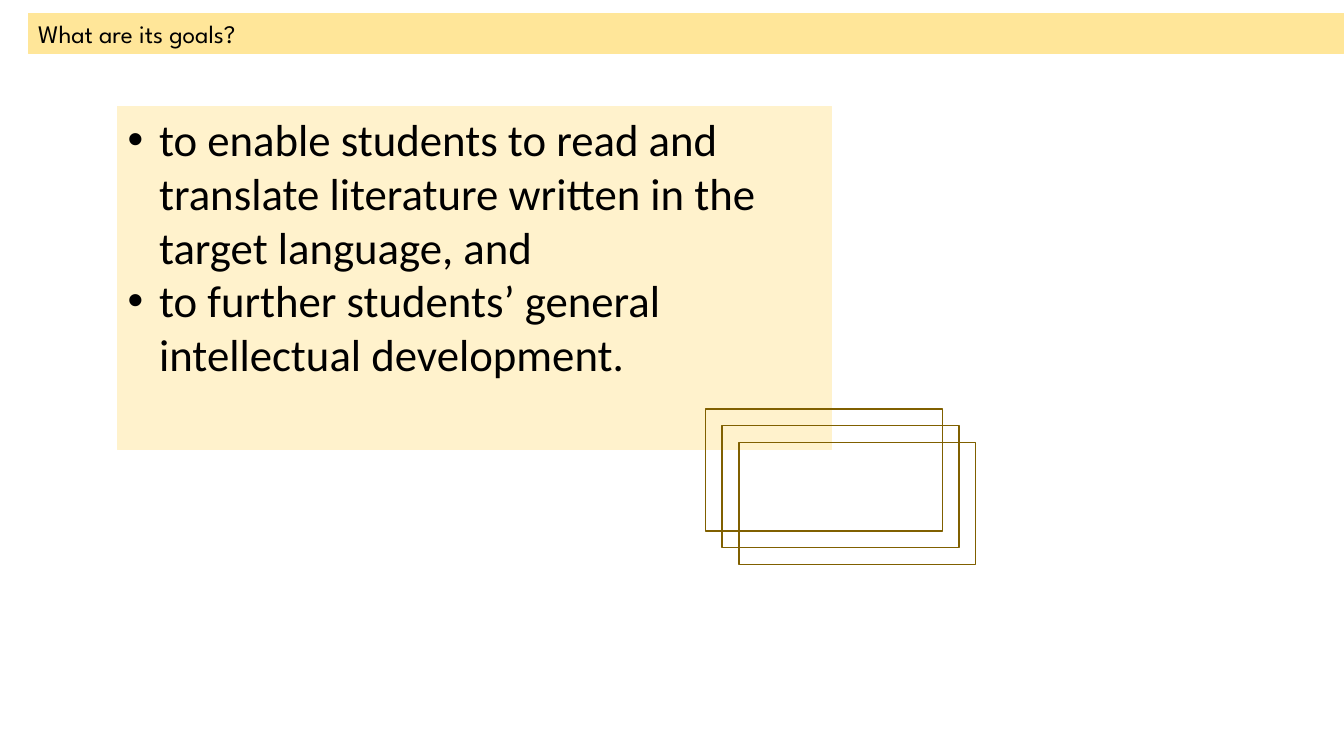
from dataclasses import dataclass

from lxml.etree import SubElement
from pptx import Presentation
from pptx.dml.color import RGBColor
from pptx.enum.shapes import MSO_SHAPE
from pptx.enum.text import MSO_ANCHOR, PP_ALIGN
from pptx.oxml.ns import qn
from pptx.shapes.autoshape import Shape
from pptx.slide import Slide
from pptx.util import Cm, Pt

GOLD = RGBColor(0xFF, 0xE6, 0x99)
CREAM = RGBColor(0xFF, 0xF2, 0xCC)
BROWN = RGBColor(0x80, 0x60, 0x00)
BLACK = RGBColor(0x00, 0x00, 0x00)

FRAME_COUNT = 3
FRAME_STEP = 0.42
BULLET_INDENT = Cm(0.79)

QUESTION = "What are its goals?"
GOALS = [
    "to enable students to read and translate literature written in the target language, and",
    "to further students’ general intellectual development.",
]


@dataclass
class Box:
    """A rectangle with its lengths in centimetres."""
    left: float
    top: float
    width: float
    height: float
    line: RGBColor
    fill: RGBColor | None = None
    line_width: float = 0.75


def draw_box(slide: Slide, box: Box) -> Shape:
    shape = slide.shapes.add_shape(
        MSO_SHAPE.RECTANGLE, Cm(box.left), Cm(box.top), Cm(box.width), Cm(box.height)
    )
    shape.shadow.inherit = False
    if box.fill is None:
        shape.fill.background()
    else:
        shape.fill.solid()
        shape.fill.fore_color.rgb = box.fill
    shape.line.color.rgb = box.line
    shape.line.width = Pt(box.line_width)
    return shape


def write_text(shape: Shape, paragraphs: list[str], *, font: str, size: float,
               anchor: MSO_ANCHOR = MSO_ANCHOR.TOP, bulleted: bool = False) -> None:
    frame = shape.text_frame
    frame.word_wrap = True
    frame.vertical_anchor = anchor
    frame.text = "\n".join(paragraphs)
    for paragraph in frame.paragraphs:
        paragraph.alignment = PP_ALIGN.LEFT
        paragraph.font.name = font
        paragraph.font.size = Pt(size)
        paragraph.font.color.rgb = BLACK
        if bulleted:
            add_bullet(paragraph._p.get_or_add_pPr())


def add_bullet(properties) -> None:
    properties.set("marL", str(BULLET_INDENT))
    properties.set("indent", str(-BULLET_INDENT))
    bullet_font = SubElement(properties, qn("a:buFont"), typeface="Arial")
    bullet = SubElement(properties, qn("a:buChar"), char="•")
    # Bullet settings come before the default run properties
    default_run = properties.find(qn("a:defRPr"))
    if default_run is not None:
        default_run.addprevious(bullet_font)
        default_run.addprevious(bullet)


def main() -> None:
    presentation = Presentation()
    presentation.slide_width = Cm(33.87)
    presentation.slide_height = Cm(19.05)
    slide = presentation.slides.add_slide(presentation.slide_layouts[6])

    # Question bar
    question_bar = draw_box(slide, Box(0.71, 0.33, 33.15, 1.02, GOLD, GOLD))
    write_text(question_bar, [QUESTION], font="League Spartan", size=18,
               anchor=MSO_ANCHOR.MIDDLE)

    # Goals panel
    goals_panel = draw_box(slide, Box(2.97, 2.69, 17.98, 8.64, CREAM, CREAM))
    write_text(goals_panel, GOALS, font="Calibri", size=32, bulleted=True)

    # Staggered frames
    for index in range(FRAME_COUNT):
        offset = index * FRAME_STEP
        draw_box(slide, Box(17.78 + offset, 10.31 + offset, 5.97, 3.07, BROWN, line_width=1))

    presentation.save("out.pptx")


if __name__ == "__main__":
    main()
